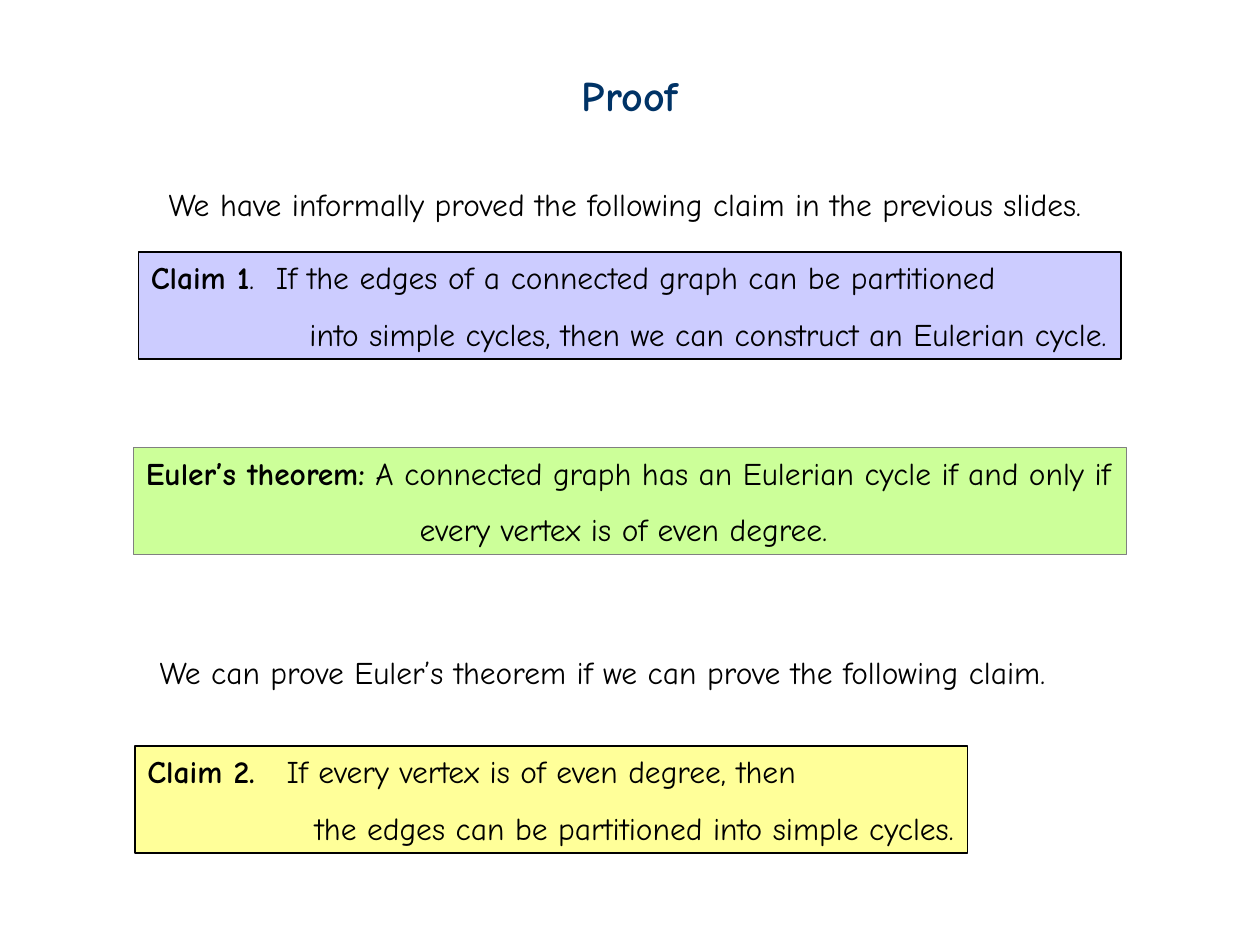
from lxml.etree import SubElement
from pptx import Presentation
from pptx.dml.color import RGBColor
from pptx.enum.shapes import MSO_SHAPE
from pptx.enum.text import MSO_ANCHOR, MSO_AUTO_SIZE, PP_ALIGN
from pptx.oxml.ns import qn
from pptx.util import Cm, Pt


def paint(part, code):
    part.rgb = RGBColor.from_string(code)


def write(para, text, bold=False, size=18, code="000000"):
    run = para.add_run()
    run.text = text
    run.font.name = "Comic Neue"
    run.font.size = Pt(size)
    run.font.bold = bold
    paint(run.font.color, code)


deck = Presentation()
deck.slide_width, deck.slide_height = Cm(25.4), Cm(19.05)
slide = deck.slides.add_slide(deck.slide_layouts[5])

title = slide.shapes.title
title.left, title.top, title.width, title.height = Cm(11.46), Cm(1.27), Cm(2.48), Cm(1.27)
frame = title.text_frame
frame.word_wrap = False
frame.auto_size = MSO_AUTO_SIZE.NONE
frame.vertical_anchor = MSO_ANCHOR.TOP
frame.paragraphs[0].alignment = PP_ALIGN.CENTER
write(frame.paragraphs[0], "Proof", True, 24, "003366")

notes = [
    (3.15, 3.6, 19.02, "We have informally proved the following claim in the previous slides."),
    (2.97, 13.03, 18.49, "We can prove Euler’s theorem if we can prove the following claim."),
]
for left, top, width, text in notes:
    box = slide.shapes.add_textbox(Cm(left), Cm(top), Cm(width), Cm(1.02))
    box.text_frame.word_wrap = False
    write(box.text_frame.paragraphs[0], text)

claims = [
    (2.79, 5.08, 19.81, "CCCCFF", "000000", "Claim 1", ".\t", 2.52, 3.2,
     "If the edges of a connected graph can be partitioned",
     "into simple cycles, then we can construct an Eulerian cycle."),
    (2.69, 9.02, 20.02, "CCFF99", "808080", "Euler’s theorem:", " ", None, 5.52,
     "A connected graph has an Eulerian cycle if and only if",
     "every vertex is of even degree."),
    (2.72, 15.04, 16.79, "FFFF99", "000000", "Claim 2.", "\t", 2.81, 3.38,
     "If every vertex is of even degree, then",
     "the edges can be partitioned into simple cycles."),
]
for left, top, width, fill, edge, name, gap, stop, indent, first, second in claims:
    box = slide.shapes.add_shape(MSO_SHAPE.RECTANGLE, Cm(left), Cm(top), Cm(width), Cm(2.16))
    box.shadow.inherit = False
    box.fill.solid()
    paint(box.fill.fore_color, fill)
    paint(box.line.color, edge)
    box.line.width = Pt(0.75)
    frame = box.text_frame
    frame.word_wrap = False
    frame.vertical_anchor = MSO_ANCHOR.TOP
    head, tail = frame.paragraphs[0], frame.add_paragraph()
    head.alignment = tail.alignment = PP_ALIGN.LEFT
    if stop:
        tabs = SubElement(head._p.get_or_add_pPr(), qn("a:tabLst"))
        SubElement(tabs, qn("a:tab"), pos=str(Cm(stop)), algn="l")
    write(head, name, True)
    write(head, gap + first)
    tail._p.get_or_add_pPr().set("marL", str(Cm(indent)))
    tail.line_spacing = 1.5
    write(tail, second)

deck.save("out.pptx")
